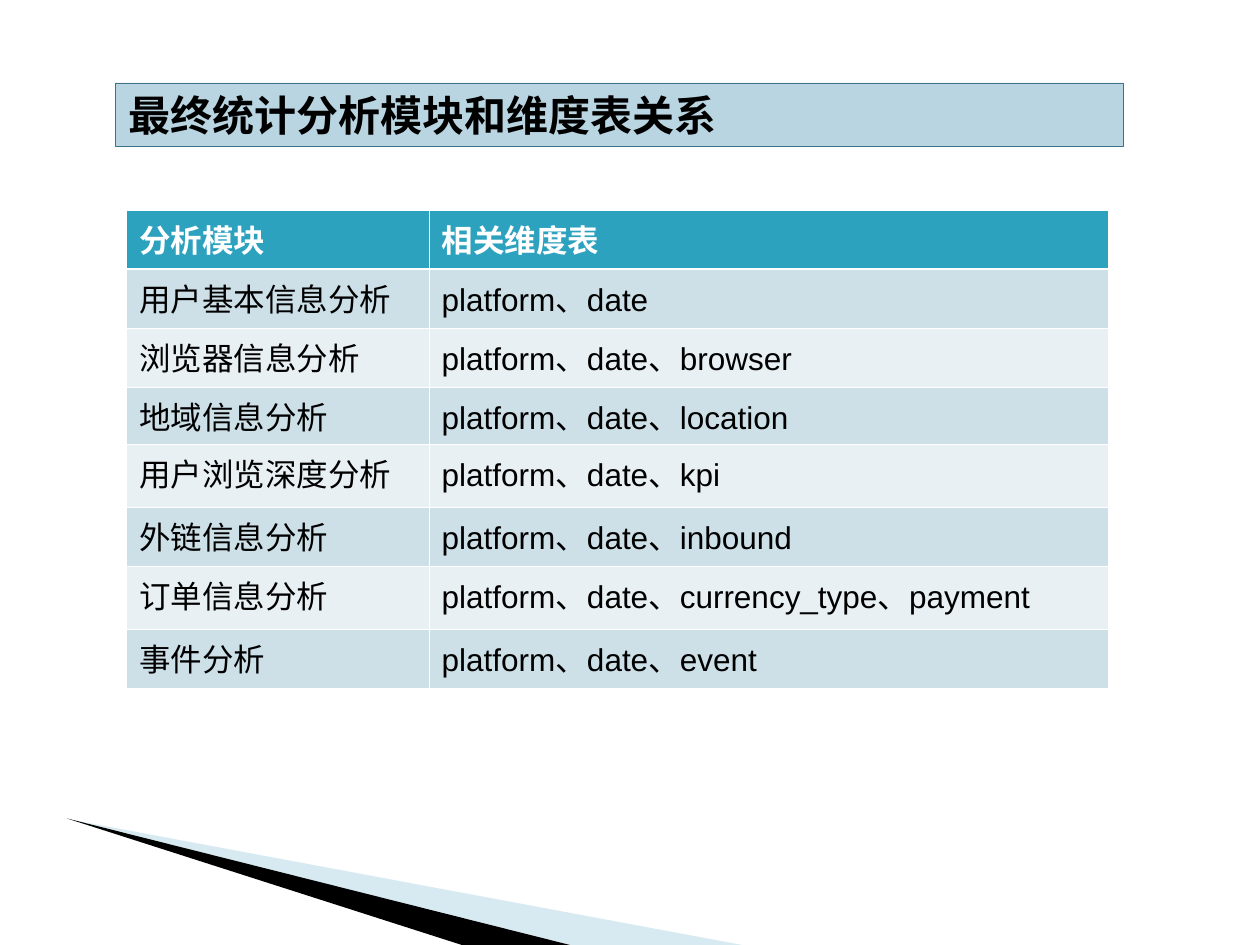
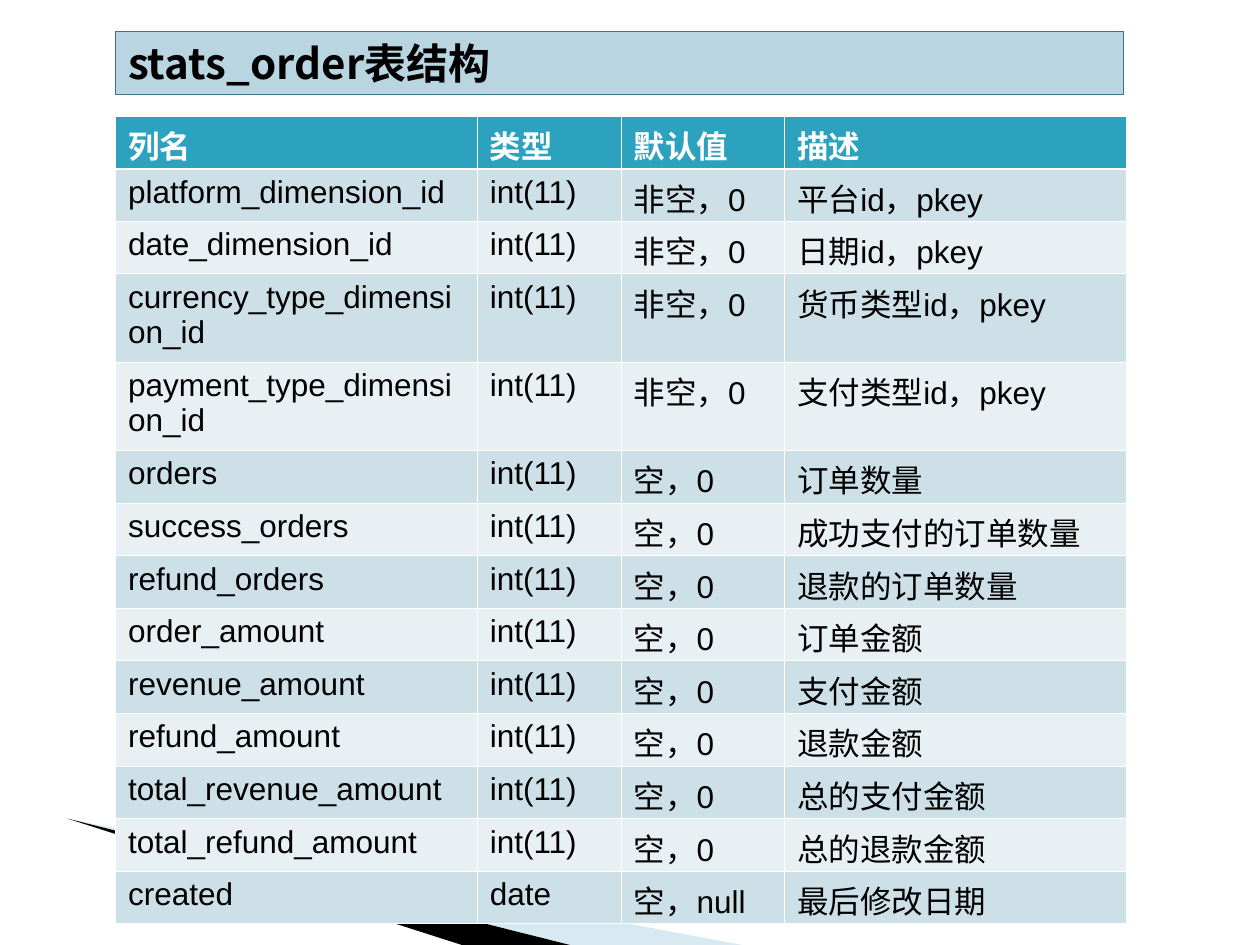
from lxml.etree import SubElement
from pptx import Presentation
from pptx.dml.color import RGBColor
from pptx.enum.text import MSO_ANCHOR, MSO_AUTO_SIZE, PP_ALIGN
from pptx.oxml.ns import qn
from pptx.util import Cm, Pt

# Content: lengths in centimetres
MODULE_ROWS = [
    ("分析模块", "相关维度表"),
    ("用户基本信息分析", "platform、date"),
    ("浏览器信息分析", "platform、date、browser"),
    ("地域信息分析", "platform、date、location"),
    ("用户浏览深度分析", "platform、date、kpi"),
    ("外链信息分析", "platform、date、inbound"),
    ("订单信息分析", "platform、date、currency_type、payment"),
    ("事件分析", "platform、date、event"),
]
ORDER_ROWS = [
    ("列名", "类型", "默认值", "描述"),
    ("platform_dimension_id", "int(11)", "非空，0", "平台id，pkey"),
    ("date_dimension_id", "int(11)", "非空，0", "日期id，pkey"),
    ("currency_type_dimension_id", "int(11)", "非空，0", "货币类型id，pkey"),
    ("payment_type_dimension_id", "int(11)", "非空，0", "支付类型id，pkey"),
    ("orders", "int(11)", "空，0", "订单数量"),
    ("success_orders", "int(11)", "空，0", "成功支付的订单数量"),
    ("refund_orders", "int(11)", "空，0", "退款的订单数量"),
    ("order_amount", "int(11)", "空，0", "订单金额"),
    ("revenue_amount", "int(11)", "空，0", "支付金额"),
    ("refund_amount", "int(11)", "空，0", "退款金额"),
    ("total_revenue_amount", "int(11)", "空，0", "总的支付金额"),
    ("total_refund_amount", "int(11)", "空，0", "总的退款金额"),
    ("created", "date", "空，null", "最后修改日期"),
]
PAGES = [
    dict(title="最终统计分析模块和维度表关系", title_top=1.67, rows=MODULE_ROWS,
         left=2.55, top=4.24, widths=[6.1, 13.69],
         row_height=1.19, special_heights={3: 1.14, 4: 1.27, 6: 1.27}),
    dict(title="stats_order表结构", title_top=0.63, rows=ORDER_ROWS,
         left=2.33, top=2.34, widths=[7.29, 2.9, 3.3, 6.88],
         row_height=1.06, special_heights={3: 1.78, 4: 1.78}),
]

# Shared style
LATIN_FONT, CHINESE_FONT = "Arial", "Noto Sans CJK SC"
BLACK, WHITE = "000000", "FFFFFF"
TITLE_FILL, TITLE_LINE = "B9D5E1", "3B728A"
HEADER_FILL, BAND_FILLS = "2DA2BF", ("CDE0E8", "E8F0F4")
THIN, THICK = 0.45, 1.47
WEDGES = [  # colour, opacity in percent, corners
    ("9FCBDC", 40, [(1.4, 16.52), (14.96, 19.05), (11.49, 19.05)]),
    (BLACK, 100, [(1.35, 16.5), (11.49, 19.05), (9.31, 19.05)]),
]


def colour(value):
    return RGBColor.from_string(value)


def paint(target, value):
    target.fill.solid()
    target.fill.fore_color.rgb = colour(value)


def style_text(text_frame, font_name, size, value, bold):
    for paragraph in text_frame.paragraphs:
        paragraph.alignment = PP_ALIGN.LEFT
        for span in paragraph.runs:
            span.font.name, span.font.size, span.font.bold = font_name, Pt(size), bold
            span.font.color.rgb = colour(value)
            SubElement(span.font._element, qn("a:ea"), typeface=CHINESE_FONT)


def add_wedges(page):
    for value, opacity, corners in WEDGES:
        points = [(Cm(x), Cm(y)) for x, y in corners]
        builder = page.shapes.build_freeform(*points[0])
        builder.add_line_segments(points[1:], close=True)
        wedge = builder.convert_to_shape()
        wedge.shadow.inherit = False
        wedge.line.fill.background()
        paint(wedge, value)
        if opacity < 100:
            tint = wedge._element.spPr.find(".//" + qn("a:srgbClr"))
            SubElement(tint, qn("a:alpha"), val=str(opacity * 1000))


def add_title(page, text, top):
    title = page.shapes.title
    title.left, title.top, title.width, title.height = Cm(2.33), Cm(top), Cm(20.32), Cm(1.27)
    paint(title, TITLE_FILL)
    title.line.color.rgb = colour(TITLE_LINE)
    title.line.width = Pt(0.25)
    frame = title.text_frame
    frame.text = text
    frame.auto_size = MSO_AUTO_SIZE.NONE
    frame.vertical_anchor = MSO_ANCHOR.MIDDLE
    style_text(frame, CHINESE_FONT, 24, BLACK, True)


def add_borders(cell, row_index):
    widths = {"lnL": THIN, "lnR": THIN,
              "lnT": THICK if row_index == 1 else THIN,
              "lnB": THICK if row_index == 0 else THIN}
    for side, width in widths.items():
        line = SubElement(cell._tc.get_or_add_tcPr(), qn("a:" + side), w=str(Pt(width)))
        SubElement(SubElement(line, qn("a:solidFill")), qn("a:srgbClr"), val=WHITE)


def add_grid(page, rows, left, top, widths, row_height, special_heights):
    heights = [special_heights.get(index, row_height) for index in range(len(rows))]
    table = page.shapes.add_table(len(rows), len(widths), Cm(left), Cm(top),
                                  Cm(sum(widths)), Cm(sum(heights))).table
    for column, width in zip(table.columns, widths):
        column.width = Cm(width)
    for row_index, (values, height) in enumerate(zip(rows, heights)):
        table.rows[row_index].height = Cm(height)
        header = row_index == 0
        for column_index, value in enumerate(values):
            cell = table.cell(row_index, column_index)
            cell.text_frame.text = value
            cell.margin_top, cell.margin_bottom = Cm(0.12), 0
            add_borders(cell, row_index)
            paint(cell, HEADER_FILL if header else BAND_FILLS[(row_index - 1) % 2])
            style_text(cell.text_frame, LATIN_FONT, 18, WHITE if header else BLACK, header)


def main():
    deck = Presentation()
    deck.slide_width, deck.slide_height = Cm(25.4), Cm(19.05)
    title_only = deck.slide_layouts[5]
    for content in PAGES:
        page = deck.slides.add_slide(title_only)
        add_wedges(page)
        add_title(page, content["title"], content["title_top"])
        add_grid(page, content["rows"], content["left"], content["top"],
                 content["widths"], content["row_height"], content["special_heights"])
    deck.save("out.pptx")


if __name__ == "__main__":
    main()
